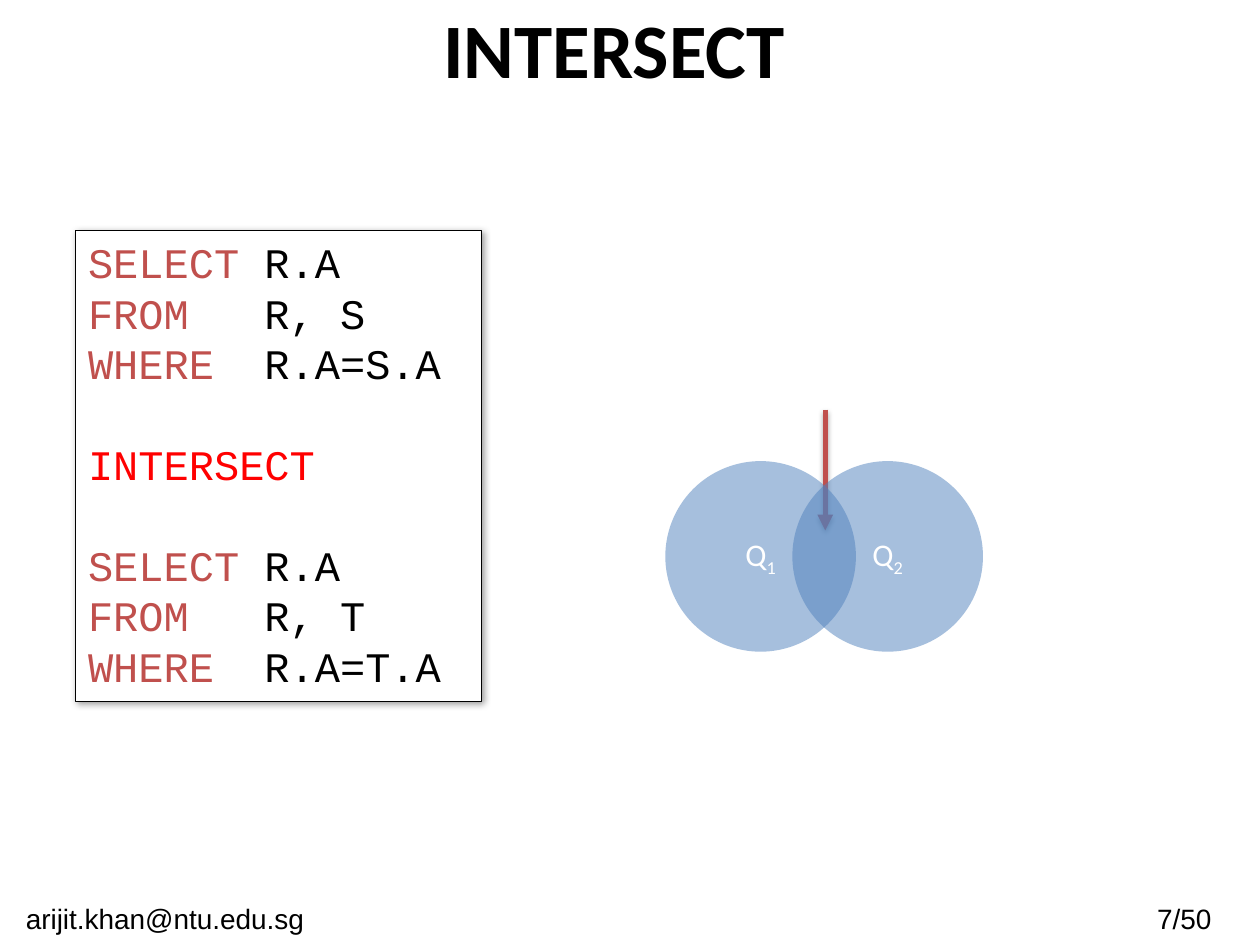
from dataclasses import dataclass

from lxml import etree
from pptx import Presentation
from pptx.dml.color import RGBColor
from pptx.enum.shapes import MSO_CONNECTOR, MSO_SHAPE
from pptx.enum.text import MSO_ANCHOR, PP_ALIGN
from pptx.oxml.ns import qn
from pptx.util import Pt

LEFT, CENTER = PP_ALIGN.LEFT, PP_ALIGN.CENTER
TOP, MIDDLE = MSO_ANCHOR.TOP, MSO_ANCHOR.MIDDLE
RECT, OVAL = MSO_SHAPE.RECTANGLE, MSO_SHAPE.OVAL
LINE = MSO_CONNECTOR.STRAIGHT


@dataclass(frozen=True)
class Theme:
    black: str = "000000"
    white: str = "FFFFFF"
    key: str = "C0504D"
    red: str = "FF0000"
    blue: str = "4F81BD"
    sans: str = "Calibri"
    plain: str = "Arial"
    mono: str = "Courier New"
    title: int = 44
    code: int = 24
    label: int = 18
    foot: int = 16
    pitch: float = 28.8


T = Theme()


def apply(obj, form):
    for name, value in form.items():
        setattr(obj, name, value)


def add_run(para, text, face, size, color, bold=False):
    run = para.add_run()
    run.text = text
    apply(run.font, {"name": face, "size": Pt(size), "bold": bold})
    run.font.color.rgb = RGBColor.from_string(color)
    return run


def set_frame(shape, anchor, align):
    frame = shape.text_frame
    apply(frame, {"word_wrap": True, "vertical_anchor": anchor})
    frame.paragraphs[0].alignment = align
    return frame


def add_text(slide, box, text, face, size, bold=False, anchor=TOP):
    shape = slide.shapes.add_textbox(*map(Pt, box))
    frame = set_frame(shape, anchor, CENTER)
    add_run(frame.paragraphs[0], text, face, size, T.black, bold)


def add_shape(shapes, kind, box, color):
    shape = shapes.add_shape(kind, *map(Pt, box))
    shape.shadow.inherit = False
    shape.fill.solid()
    shape.fill.fore_color.rgb = RGBColor.from_string(color)
    return shape


def set_line(shape, color, width):
    shape.line.color.rgb = RGBColor.from_string(color)
    shape.line.width = Pt(width)


def add_shadow(shape, alpha, blur, dist, angle):
    props = shape._element.spPr
    effects = props.find(qn("a:effectLst"))
    if effects is None:
        effects = etree.SubElement(props, qn("a:effectLst"))
    outer = etree.SubElement(
        effects, qn("a:outerShdw"), blurRad=str(Pt(blur)), dist=str(Pt(dist)),
        dir=str(angle * 60000), rotWithShape="0")
    tint = etree.SubElement(outer, qn("a:srgbClr"), val=T.black)
    etree.SubElement(tint, qn("a:alpha"), val=str(alpha * 1000))


def add_code(slide, box, lines):
    shape = add_shape(slide.shapes, RECT, box, T.white)
    set_line(shape, T.black, 0.75)
    add_shadow(shape, 40, 4, 1, 45)
    frame = set_frame(shape, TOP, LEFT)
    for i, (word, rest, color, gap) in enumerate(lines):
        para = frame.add_paragraph() if i else frame.paragraphs[0]
        apply(para, {"alignment": LEFT, "line_spacing": Pt(T.pitch)})
        if gap:
            apply(para, {"space_before": Pt(gap), "space_after": Pt(gap)})
        add_run(para, word, T.mono, T.code, color)
        if rest:
            add_run(para, rest, T.mono, T.code, T.black)


def add_arrow(slide, x, top, end):
    arrow = slide.shapes.add_connector(LINE, Pt(x), Pt(top), Pt(x), Pt(end))
    set_line(arrow, T.key, 3)
    etree.SubElement(arrow.line._get_or_add_ln(), qn("a:tailEnd"),
                     type="triangle")
    add_shadow(arrow, 35, 3.1, 1.8, 90)


def add_circle(group, box, index):
    shape = add_shape(group.shapes, OVAL, box, T.blue)
    shape.line.fill.background()
    tint = shape._element.spPr.find(".//" + qn("a:srgbClr"))
    etree.SubElement(tint, qn("a:alpha"), val="50000")
    para = set_frame(shape, MIDDLE, CENTER).paragraphs[0]
    add_run(para, "Q", T.sans, T.label, T.white)
    sub = add_run(para, index, T.sans, T.label, T.white)
    sub.font._element.set("baseline", "-25000")


def query(table):
    return [("SELECT", " R.A", T.key, 0),
            ("FROM", f"   R, {table}", T.key, 0),
            ("WHERE", f"  R.A={table}.A", T.key, 0)]


def main():
    deck = Presentation()
    apply(deck, {"slide_width": Pt(720), "slide_height": Pt(540)})
    slide = deck.slides.add_slide(deck.slide_layouts[6])

    # Title and footer
    add_text(slide, (18, 0, 666, 54), "INTERSECT", T.sans, T.title,
             True, MIDDLE)
    add_text(slide, (637.2, 511.9, 83.5, 28), "7/50 ", T.plain, T.foot)
    add_text(slide, (0, 511.9, 193, 28), "arijit.khan@ntu.edu.sg ",
             T.plain, T.foot)

    # Two queries around the set operator
    operator = [("INTERSECT", "", T.red, T.pitch)]
    add_code(slide, (43.2, 131.8, 231.8, 269.3),
             query("S") + operator + query("T"))

    # Venn diagram, with the arrow behind the circles
    add_arrow(slide, 471.6, 234, 303.1)
    group = slide.shapes.add_group_shape()
    size, step = 108.9, 72.6
    for i in range(2):
        add_circle(group, (380.2 + i * step, 263.5, size, size), str(i + 1))

    deck.save("out.pptx")


if __name__ == "__main__":
    main()
